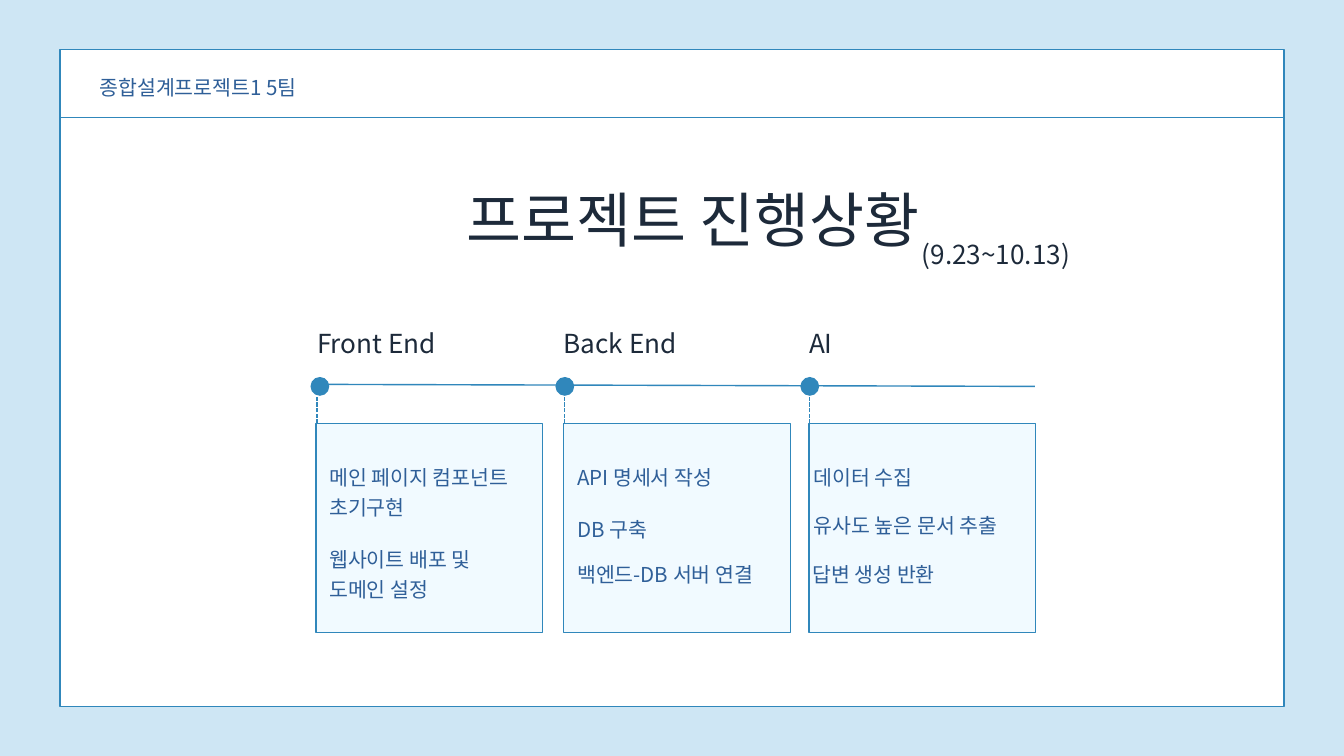
from lxml import etree
from pptx import Presentation
from pptx.dml.color import RGBColor
from pptx.enum.dml import MSO_LINE
from pptx.enum.shapes import MSO_CONNECTOR, MSO_SHAPE
from pptx.enum.text import MSO_AUTO_SIZE, PP_ALIGN
from pptx.oxml.ns import qn
from pptx.util import Inches, Pt

SKY = RGBColor(0xCE, 0xE6, 0xF4)
WHITE = RGBColor(0xFF, 0xFF, 0xFF)
ACCENT = RGBColor(0x30, 0x87, 0xBB)
PALE = RGBColor(0xF1, 0xFA, 0xFF)
INK = RGBColor(0x1D, 0x2A, 0x3A)
BLUE = RGBColor(0x2F, 0x5F, 0x98)

# Text formats: size, line spacing, colour, alignment
TITLE = (64, 89.6, INK, PP_ALIGN.CENTER)
HEADING = (28, 33.6, INK, PP_ALIGN.LEFT)
BODY = (22, 31.9, BLUE, PP_ALIGN.LEFT)
LABEL = (22, 30.8, BLUE, PP_ALIGN.LEFT)


class Deck:
    font = "Noto Sans CJK KR"
    line_width = Pt(1.5)

    def __init__(self, width, height):
        self.prs = Presentation()
        self.prs.slide_width, self.prs.slide_height = Inches(width), Inches(height)
        self.s = self.prs.slides.add_slide(self.prs.slide_layouts[6])
        fill = self.s.background.fill
        fill.solid()
        fill.fore_color.rgb = SKY

    def shape(self, kind, x, y, w, h, fill, line=None):
        sp = self.s.shapes.add_shape(kind, Inches(x), Inches(y), Inches(w), Inches(h))
        sp.shadow.inherit = False
        sp.fill.solid()
        sp.fill.fore_color.rgb = fill
        if line is None:
            sp.line.fill.background()
        else:
            sp.line.color.rgb = line
            sp.line.width = self.line_width
        return sp

    def line(self, x1, y1, x2, y2, dash=None):
        c = self.s.shapes.add_connector(
            MSO_CONNECTOR.STRAIGHT, Inches(x1), Inches(y1), Inches(x2), Inches(y2))
        c.line.color.rgb = ACCENT
        c.line.width = self.line_width
        if dash is not None:
            c.line.dash_style = dash
        etree.SubElement(c._element.spPr, qn("a:effectLst"))
        return c

    def text(self, x, y, w, h, lines, style):
        size, spacing, color, align = style
        tf = self.s.shapes.add_textbox(Inches(x), Inches(y), Inches(w), Inches(h)).text_frame
        frame_format = {"margin_left": 0, "margin_top": 0, "margin_right": 0,
                        "margin_bottom": 0, "word_wrap": True,
                        "auto_size": MSO_AUTO_SIZE.SHAPE_TO_FIT_TEXT}
        for name, value in frame_format.items():
            setattr(tf, name, value)
        for i, line in enumerate(lines):
            p = tf.paragraphs[0] if i == 0 else tf.add_paragraph()
            p.alignment = align
            p.line_spacing = Pt(spacing)
            r = p.add_run()
            r.text = line
            for name, value in {"name": self.font, "size": Pt(size)}.items():
                setattr(r.font, name, value)
            r.font.color.rgb = color
            etree.SubElement(r._r.get_or_add_rPr(), qn("a:ea"), typeface=self.font)


def main():
    deck = Deck(20, 11.25)

    # Page frame and header
    deck.shape(MSO_SHAPE.RECTANGLE, 0.89, 0.74, 18.22, 9.77, WHITE, ACCENT)
    deck.line(0.89, 1.75, 19.11, 1.75)
    deck.text(1.48, 1.06, 3.68, 0.42, ["종합설계프로젝트1 5팀"], LABEL)

    # Title and period
    deck.text(6.72, 2.54, 7.19, 1.19, ["프로젝트 진행상황"], TITLE)
    deck.text(13.72, 3.54, 2.97, 0.45, ["(9.23~10.13)"], HEADING)

    # Timeline: heading, card left, dash x, tasks as (x, y, width, height, lines)
    deck.line(4.72, 5.72, 15.4, 5.75)
    tracks = [
        ("Front End", 4.7, 4.72, 4.72, [
            (4.9, 6.84, 2.97, 0.86, ["메인 페이지 컴포넌트", "초기구현"]),
            (4.9, 8.07, 2.97, 0.86, ["웹사이트 배포 및 도메인 설정"])]),
        ("Back End", 8.39, 8.39, 8.4, [
            (8.59, 6.84, 2.97, 0.42, ["API 명세서 작성"]),
            (8.59, 7.62, 2.97, 0.42, ["DB 구축"]),
            (8.59, 8.29, 2.97, 0.42, ["백엔드-DB 서버 연결"])]),
        ("AI", 12.04, 12.04, 12.05, [
            (12.11, 6.84, 3.21, 0.42, ["데이터 수집"]),
            (12.11, 7.56, 2.97, 0.42, ["유사도 높은 문서 추출"]),
            (12.09, 8.29, 3.42, 0.42, ["답변 생성 반환"])]),
    ]
    for i, (heading, card_x, heading_x, dash_x, tasks) in enumerate(tracks):
        deck.shape(MSO_SHAPE.OVAL, 4.62 + 3.645 * i, 5.61, 0.28, 0.28, ACCENT)
        deck.shape(MSO_SHAPE.RECTANGLE, card_x, 6.3, 3.37, 3.11, PALE, ACCENT)
        deck.line(dash_x, 6.3, dash_x, 5.89, MSO_LINE.SQUARE_DOT)
        deck.text(heading_x, 4.87, 2.97, 0.45, [heading], HEADING)
        for x, y, w, h, lines in tasks:
            deck.text(x, y, w, h, lines, BODY)

    deck.prs.save("out.pptx")


if __name__ == "__main__":
    main()
